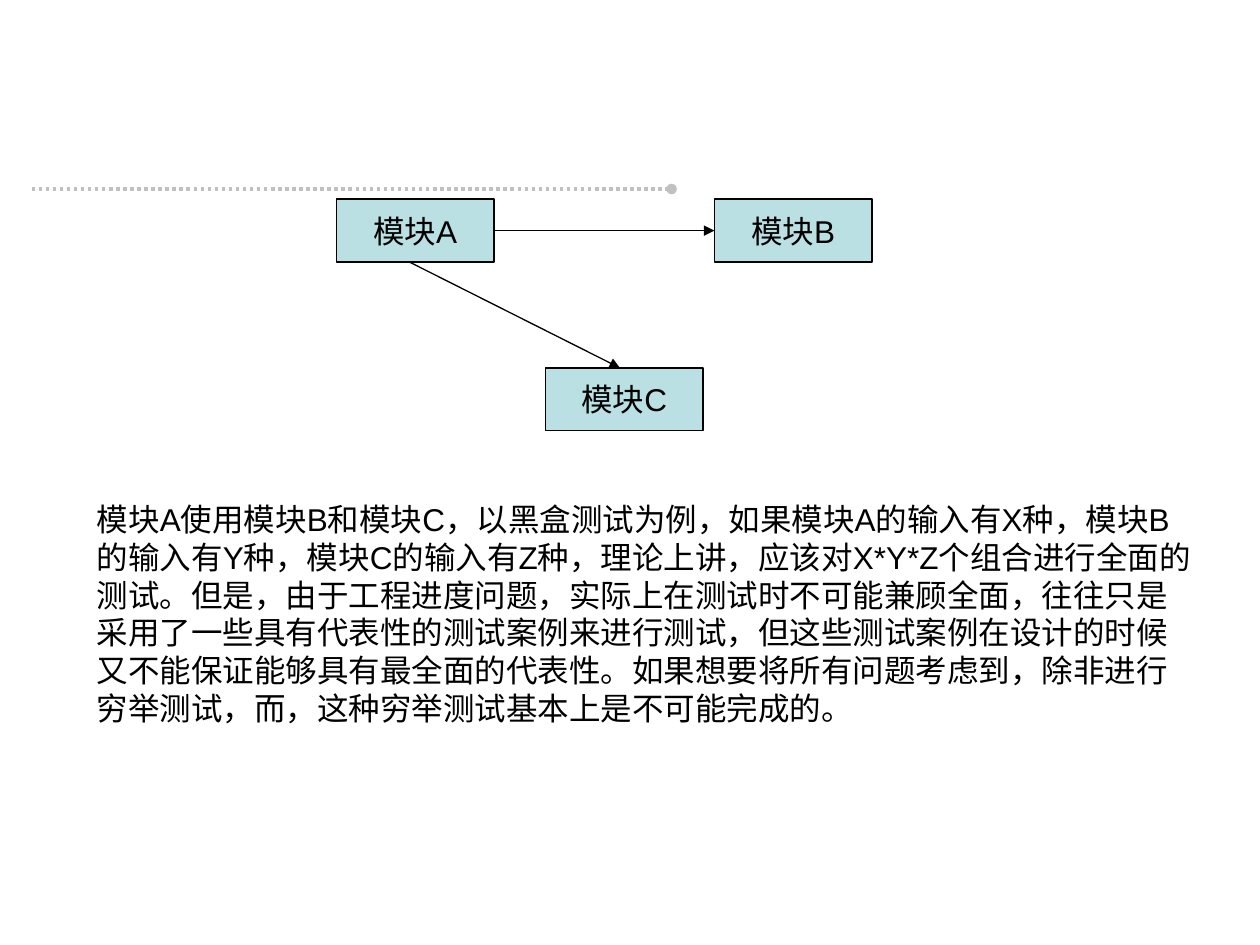
from lxml import etree
from pptx import Presentation
from pptx.dml.color import RGBColor
from pptx.enum import dml, shapes, text
from pptx.oxml import ns
from pptx.util import Inches, Pt

COLORS = {"ink": "000000", "module": "BBE0E3", "divider": "C0C0C0"}
FONT = "Arial"
MODULE_W, MODULE_H = 1.25, 0.5
MODULES = [("模块A", 2.67, 1.58), ("模块B", 5.67, 1.58), ("模块C", 4.33, 2.92)]
CALLS = [((3.92, 1.83), (5.67, 1.83)), ((3.25, 2.08), (4.92, 2.92))]
EXPLANATION = (
    "模块A使用模块B和模块C，以黑盒测试为例，如果模块A的输入有X种，"
    "模块B的输入有Y种，模块C的输入有Z种，理论上讲，应该对X*Y*Z个组合进行全面的测试。"
    "但是，由于工程进度问题，实际上在测试时不可能兼顾全面，"
    "往往只是采用了一些具有代表性的测试案例来进行测试，"
    "但这些测试案例在设计的时候又不能保证能够具有最全面的代表性。"
    "如果想要将所有问题考虑到，除非进行穷举测试，而，这种穷举测试基本上是不可能完成的。"
)


def color(name):
    return RGBColor.from_string(COLORS[name])


def write(frame, content, size=18, align=text.PP_ALIGN.LEFT,
          anchor=text.MSO_ANCHOR.TOP, wrap=True):
    frame.word_wrap = wrap
    frame.vertical_anchor = anchor
    paragraph = frame.paragraphs[0]
    paragraph.alignment = align
    run = paragraph.add_run()
    run.text = content
    run.font.name = FONT
    run.font.size = Pt(size)
    run.font.color.rgb = color("ink")


def add_module(slide, label, left, top):
    module = slide.shapes.add_shape(
        shapes.MSO_SHAPE.RECTANGLE, Inches(left), Inches(top),
        Inches(MODULE_W), Inches(MODULE_H))
    module.shadow.inherit = False
    module.fill.solid()
    module.fill.fore_color.rgb = color("module")
    module.line.color.rgb = color("ink")
    module.line.width = Pt(0.75)
    write(module.text_frame, label, align=text.PP_ALIGN.CENTER,
          anchor=text.MSO_ANCHOR.MIDDLE, wrap=False)


def add_line(slide, start, end, ink="ink", width=0.75, tail="triangle", dash=None):
    line = slide.shapes.add_connector(
        shapes.MSO_CONNECTOR.STRAIGHT, *map(Inches, start + end))
    line.line.color.rgb = color(ink)
    line.line.width = Pt(width)
    if dash:
        line.line.dash_style = dash
    properties = line.element.spPr
    outline = properties.find(ns.qn("a:ln"))
    etree.SubElement(outline, ns.qn("a:tailEnd"), type=tail)
    etree.SubElement(properties, ns.qn("a:effectLst"))


def main():
    deck = Presentation()
    deck.slide_width, deck.slide_height = Inches(10), Inches(7.5)
    slide = deck.slides.add_slide(deck.slide_layouts[6])

    # Title divider
    add_line(slide, (0.25, 1.5), (5.33, 1.5), ink="divider", width=2,
             tail="oval", dash=dml.MSO_LINE.ROUND_DOT)

    # Module diagram
    for module in MODULES:
        add_module(slide, *module)
    for caller, callee in CALLS:
        add_line(slide, caller, callee)

    # Explanation
    explanation = slide.shapes.add_textbox(
        Inches(0.67), Inches(3.92), Inches(8.92), Inches(1.9))
    write(explanation.text_frame, EXPLANATION)

    deck.save("out.pptx")


if __name__ == "__main__":
    main()
